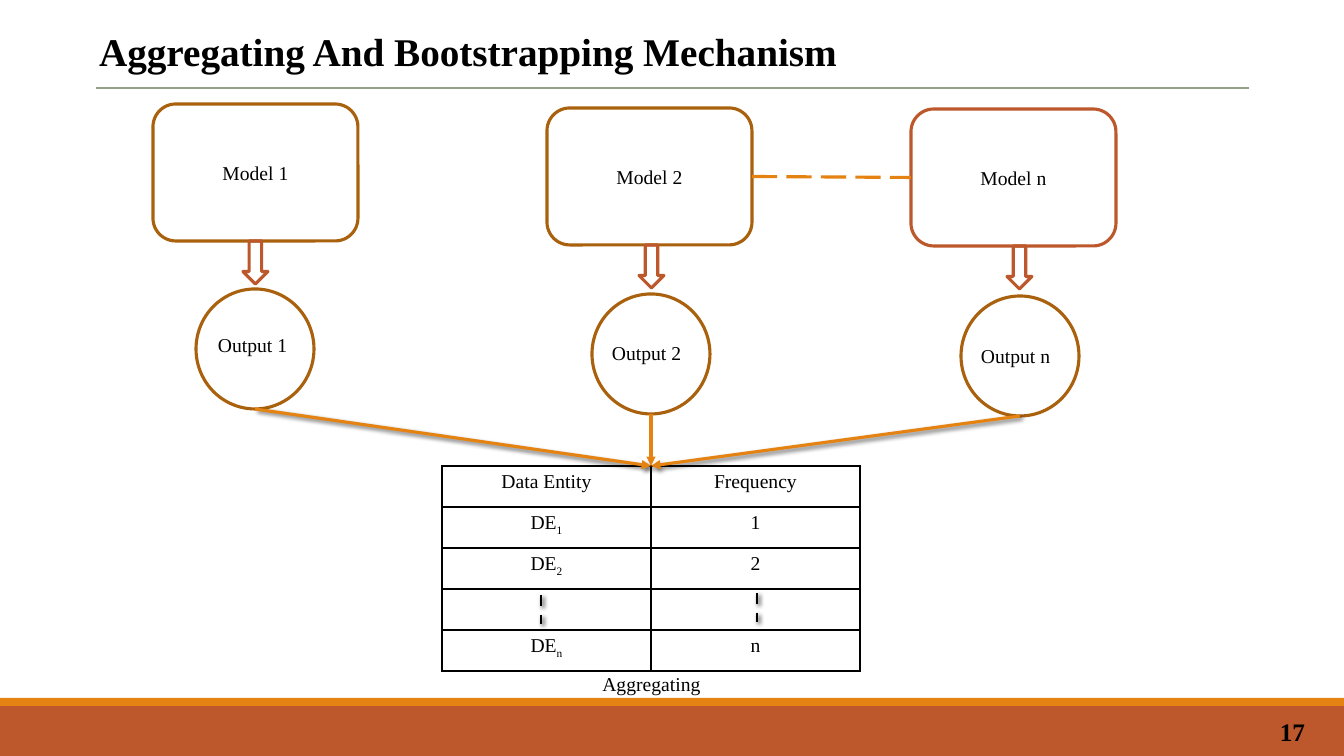
from lxml.etree import SubElement
from pptx import Presentation
from pptx.dml.color import RGBColor
from pptx.enum.dml import MSO_LINE
from pptx.enum.shapes import MSO_CONNECTOR, MSO_SHAPE
from pptx.enum.text import MSO_ANCHOR, MSO_AUTO_SIZE, PP_ALIGN
from pptx.oxml.ns import qn
from pptx.util import Pt

EMU_PER_INCH = 914400
PX_PER_INCH = 100.8
FONT = "Times New Roman"
COLORS = {
    "text": "000000",
    "brown": "A9610D",
    "rust": "BD582C",
    "orange": "E48312",
    "sage": "94A088",
}
TABLE_ROWS = [
    (("Data Entity", ""), "Frequency"),
    (("DE", "1"), "1"),
    (("DE", "2"), "2"),
    (("", ""), ""),
    (("DE", "n"), "n"),
]
# label, model left and top, model colour, circle left and top, arrow left, text left and top
CHAINS = [
    ("1", (153, 104), "brown", (196, 289), 243, (208, 328)),
    ("2", (547, 108), "brown", (592, 294), 639, (602, 336)),
    ("n", (911, 109), "rust", (961, 296), 1007, (971, 339)),
]
MODEL_SIZE = (205, 137)
CIRCLE_SIZE = (118, 120)
TABLE_LEFT, TABLE_TOP, COLUMN_WIDTH, ROW_HEIGHT = 442, 466, 209, 41


def px(length):
    return round(length * EMU_PER_INCH / PX_PER_INCH)


def color(name):
    return RGBColor.from_string(COLORS[name])


def add_run(para, text, size=14, bold=False, subscript=False):
    span = para.add_run()
    span.text = text
    span.font.name = FONT
    span.font.size = Pt(size)
    span.font.bold = bold
    span.font.color.rgb = color("text")
    if subscript:
        span.font._element.set("baseline", "-25000")


def write(frame, text, size=14, bold=False, align=PP_ALIGN.LEFT, anchor=MSO_ANCHOR.TOP):
    frame.word_wrap = True
    frame.vertical_anchor = anchor
    para = frame.paragraphs[0]
    para.alignment = align
    add_run(para, text, size, bold)


def add_text(page, text, left, top, width, height, **style):
    box = page.shapes.add_textbox(px(left), px(top), px(width), px(height))
    write(box.text_frame, text, **style)


def add_figure(page, preset, left, top, width, height, fill=None, line=None):
    shape = page.shapes.add_shape(preset, px(left), px(top), px(width), px(height))
    shape.shadow.inherit = False
    if fill:
        shape.fill.solid()
        shape.fill.fore_color.rgb = color(fill)
    else:
        shape.fill.background()
    if line:
        shape.line.color.rgb = color(line)
        shape.line.width = Pt(2.25)
    else:
        shape.line.fill.background()
    return shape


def add_line(page, start, end, name, width=2.25, dash=None, arrow=False, shadow=False):
    line = page.shapes.add_connector(MSO_CONNECTOR.STRAIGHT, *map(px, start + end))
    line.line.color.rgb = color(name)
    line.line.width = Pt(width)
    if dash:
        line.line.dash_style = dash
    properties = line._element.spPr
    if arrow:
        SubElement(properties.find(qn("a:ln")), qn("a:tailEnd"), type="triangle")
    effects = SubElement(properties, qn("a:effectLst"))
    if shadow:
        outer = SubElement(effects, qn("a:outerShdw"), blurRad=str(Pt(3)),
                           dist=str(Pt(2)), dir="2700000", rotWithShape="0")
        tint = SubElement(outer, qn("a:srgbClr"), val=COLORS["text"])
        SubElement(tint, qn("a:alpha"), val="60000")
    return line


def outline_cell(cell):
    cell.fill.background()
    properties = cell._tc.get_or_add_tcPr()
    for index, side in enumerate(("lnL", "lnR", "lnT", "lnB")):
        border = properties.makeelement(qn(f"a:{side}"), {"w": str(Pt(1))})
        fill = SubElement(border, qn("a:solidFill"))
        SubElement(fill, qn("a:srgbClr"), val=COLORS["text"])
        properties.insert(index, border)


def add_frequency_table(page):
    frame = page.shapes.add_table(len(TABLE_ROWS), 2, px(TABLE_LEFT), px(TABLE_TOP),
                                  px(2 * COLUMN_WIDTH), px(len(TABLE_ROWS) * ROW_HEIGHT))
    table = frame.table
    table.first_row = table.horz_banding = False
    for column in table.columns:
        column.width = px(COLUMN_WIDTH)
    for row, ((entity, index), frequency) in zip(table.rows, TABLE_ROWS):
        row.height = px(ROW_HEIGHT)
        for cell, text in zip(row.cells, (entity, frequency)):
            outline_cell(cell)
            if text:
                write(cell.text_frame, text, align=PP_ALIGN.CENTER)
        if index:
            add_run(row.cells[0].text_frame.paragraphs[0], index, subscript=True)


def add_chain(page, label, model_at, model_color, circle_at, arrow_left, text_at):
    """Draw a model, its arrow and its output; return the model."""
    model = add_figure(page, MSO_SHAPE.ROUNDED_RECTANGLE, *model_at, *MODEL_SIZE,
                       line=model_color)
    write(model.text_frame, f"Model {label}", align=PP_ALIGN.CENTER,
          anchor=MSO_ANCHOR.MIDDLE)
    add_figure(page, MSO_SHAPE.OVAL, *circle_at, *CIRCLE_SIZE, line="brown")
    add_figure(page, MSO_SHAPE.DOWN_ARROW, arrow_left, model_at[1] + MODEL_SIZE[1],
               25, 43, line="rust")
    add_text(page, f"Output {label}", *text_at, 118, 40)
    return model


def add_title(page, text):
    title = page.shapes.title
    title.left, title.top, title.width, title.height = map(px, (89, 22, 1190, 57))
    title.text_frame.auto_size = MSO_AUTO_SIZE.NONE
    write(title.text_frame, text, size=28, bold=True)
    add_line(page, (96, 88), (1249, 88), "sage", width=1)


def add_footer(page, number):
    add_figure(page, MSO_SHAPE.RECTANGLE, 0, 706, 1344, 50, fill="rust")
    add_figure(page, MSO_SHAPE.RECTANGLE, 0, 698, 1344, 8, fill="orange")
    add_text(page, number, 1171, 711, 144, 40, size=18, bold=True,
             align=PP_ALIGN.RIGHT, anchor=MSO_ANCHOR.MIDDLE)


def main():
    deck = Presentation()
    deck.slide_width, deck.slide_height = px(1344), px(756)
    page = deck.slides.add_slide(deck.slide_layouts[5])
    add_footer(page, "17")
    add_title(page, "Aggregating And Bootstrapping Mechanism")

    models = [add_chain(page, *chain) for chain in CHAINS]
    add_frequency_table(page)
    table_middle = (TABLE_LEFT + COLUMN_WIDTH, TABLE_TOP)
    for label, _, _, (left, top), _, _ in CHAINS:
        circle_bottom = (left + CIRCLE_SIZE[0] // 2, top + CIRCLE_SIZE[1])
        add_line(page, circle_bottom, table_middle, "orange", arrow=True,
                 shadow=label != "2")

    link = add_line(page, (752, 176), (911, 177), "orange", dash=MSO_LINE.LONG_DASH)
    link.begin_connect(models[1], 3)
    link.end_connect(models[2], 1)

    for x, y in ((541, 595), (757, 593)):
        add_line(page, (x, y), (x, y + 29), "text", width=2, dash=MSO_LINE.DASH,
                 shadow=True)
    add_text(page, "Aggregating", 542, 667, 219, 40, align=PP_ALIGN.CENTER)
    deck.save("out.pptx")


if __name__ == "__main__":
    main()
